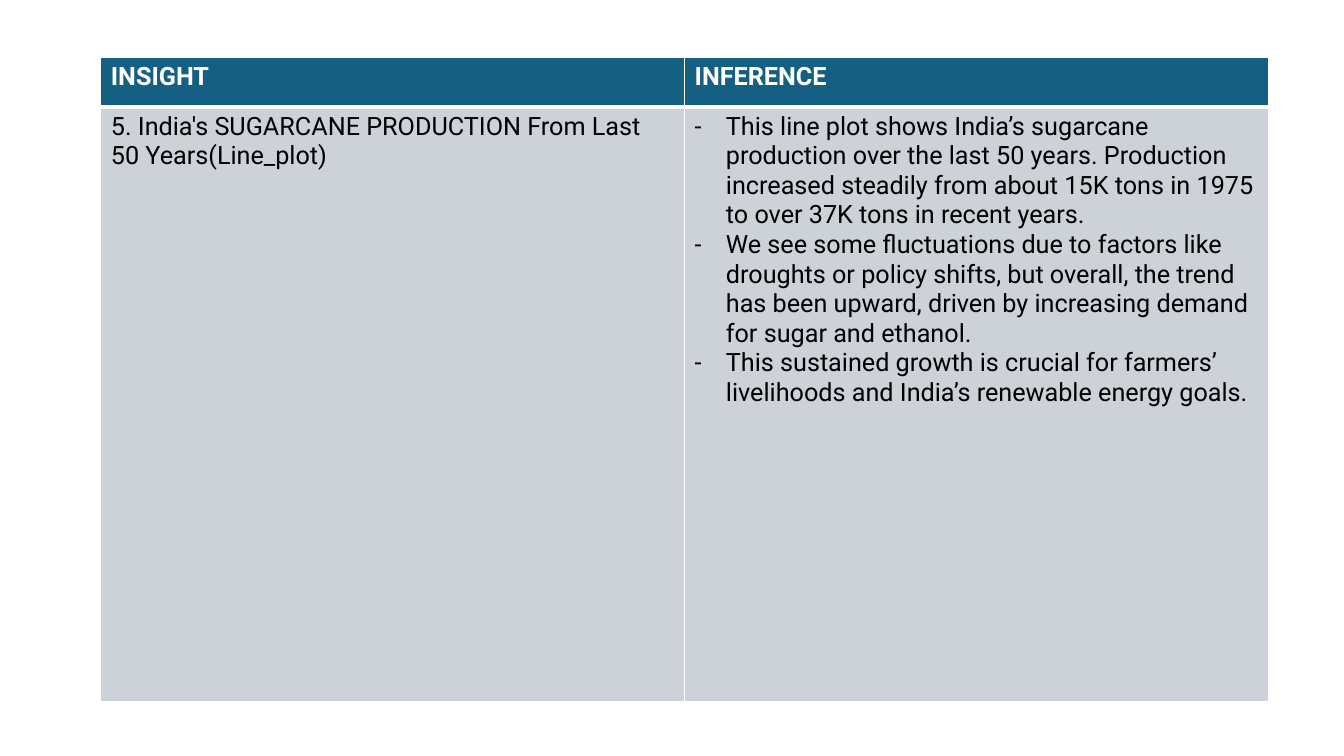
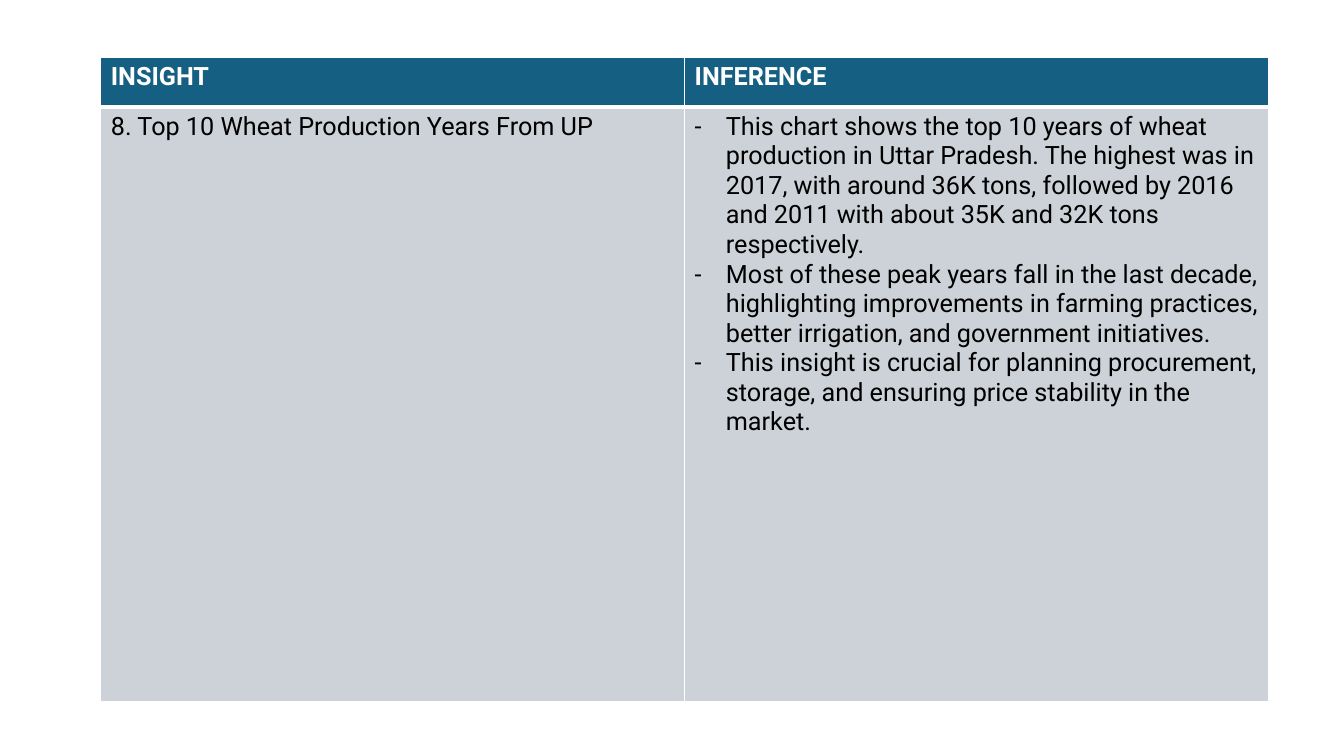
from pptx import Presentation
from pptx.dml.color import RGBColor as RGB
from pptx.oxml.ns import qn
from pptx.util import Inches, Pt
from lxml.etree import SubElement

WHITE = RGB(0xFF, 0xFF, 0xFF)
BLACK = RGB(0x00, 0x00, 0x00)
HEADER_BLUE = RGB(0x15, 0x60, 0x82)
BODY_GREY = RGB(0xCC, 0xD2, 0xD8)

HEADINGS = ("INSIGHT", "INFERENCE")
FINDINGS = [
    (
        "5. India's SUGARCANE PRODUCTION From Last 50 Years(Line_plot)",
        [
            "This line plot shows India’s sugarcane production over the last 50 years. "
            "Production increased steadily from about 15K tons in 1975 to over 37K tons "
            "in recent years.",
            "We see some fluctuations due to factors like droughts or policy shifts, but "
            "overall, the trend has been upward, driven by increasing demand for sugar "
            "and ethanol.",
            "This sustained growth is crucial for farmers’ livelihoods and India’s "
            "renewable energy goals.",
        ],
    ),
    (
        "8. Top 10 Wheat Production Years From UP",
        [
            "This chart shows the top 10 years of wheat production in Uttar Pradesh. The "
            "highest was in 2017, with around 36K tons, followed by 2016 and 2011 with "
            "about 35K and 32K tons respectively.",
            "Most of these peak years fall in the last decade, highlighting improvements "
            "in farming practices, better irrigation, and government initiatives.",
            "This insight is crucial for planning procurement, storage, and ensuring "
            "price stability in the market.",
        ],
    ),
]


class FindingsDeck:
    """Holds the shared table style and the current slide."""

    font = "Roboto"
    size = Pt(18)
    indent = Inches(0.31)
    thin, thick = Pt(1), Pt(3)
    row_heights = (Inches(0.49), Inches(5.9))

    def __init__(self):
        self.prs = Presentation()
        self.prs.slide_width = Inches(13.33)
        self.prs.slide_height = Inches(7.5)
        self.slide = None

    def new_slide(self):
        self.slide = self.prs.slides.add_slide(self.prs.slide_layouts[6])

    def borders(self, cell, top, bottom):
        properties = cell._tc.get_or_add_tcPr()
        widths = {"L": self.thin, "R": self.thin, "T": top, "B": bottom}
        for side, width in widths.items():
            line = SubElement(properties, qn(f"a:ln{side}"), w=str(width))
            fill = SubElement(line, qn("a:solidFill"))
            SubElement(fill, qn("a:srgbClr"), val=str(WHITE))

    def bullet(self, paragraph):
        properties = paragraph._p.get_or_add_pPr()
        properties.set("marL", str(self.indent))
        properties.set("indent", str(-self.indent))
        SubElement(properties, qn("a:buFont"), typeface=self.font)
        SubElement(properties, qn("a:buChar"), char="-")

    def fill_cell(self, cell, lines, header=False, bulleted=False):
        if header:
            self.borders(cell, self.thin, self.thick)
        else:
            self.borders(cell, self.thick, self.thin)
        cell.fill.solid()
        cell.fill.fore_color.rgb = HEADER_BLUE if header else BODY_GREY
        cell.text_frame.text = "\n".join(lines)
        for paragraph in cell.text_frame.paragraphs:
            if bulleted:
                self.bullet(paragraph)
            for run in paragraph.runs:
                run.font.name = self.font
                run.font.size = self.size
                run.font.bold = header
                run.font.color.rgb = WHITE if header else BLACK

    def findings_table(self, insight, inferences):
        table = self.slide.shapes.add_table(
            2, 2, Inches(1), Inches(0.57), Inches(11.58), sum(self.row_heights)
        ).table
        for row, height in zip(table.rows, self.row_heights):
            row.height = height
        for column, heading in enumerate(HEADINGS):
            self.fill_cell(table.cell(0, column), [heading], header=True)
        self.fill_cell(table.cell(1, 0), [insight])
        self.fill_cell(table.cell(1, 1), inferences, bulleted=True)


def main():
    deck = FindingsDeck()
    for insight, inferences in FINDINGS:
        deck.new_slide()
        deck.findings_table(insight, inferences)
    deck.prs.save("out.pptx")


if __name__ == "__main__":
    main()
